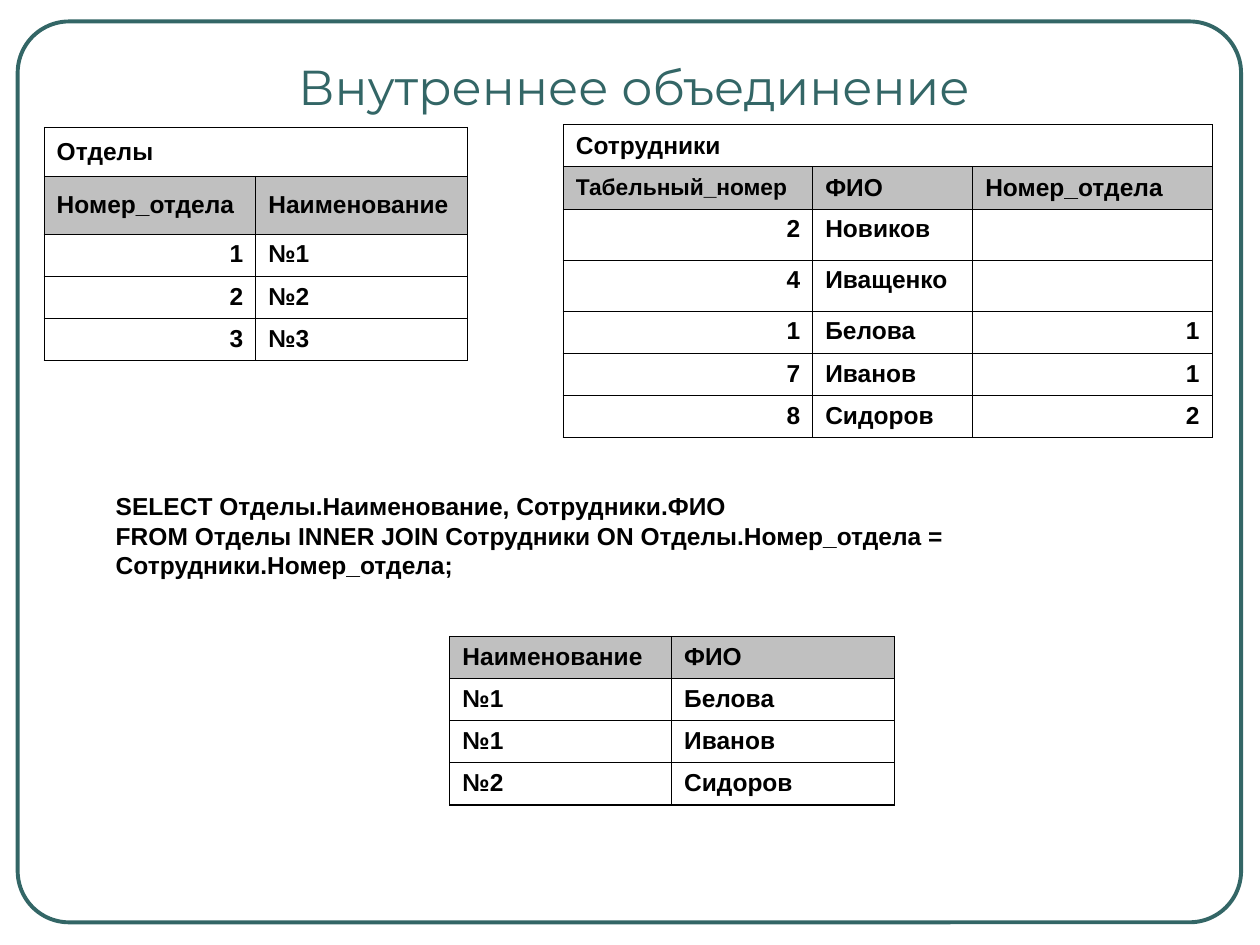
from dataclasses import dataclass

from lxml import etree
from pptx import Presentation
from pptx.dml.color import RGBColor
from pptx.enum.shapes import MSO_SHAPE
from pptx.enum.text import MSO_ANCHOR, MSO_AUTO_SIZE, PP_ALIGN
from pptx.oxml.ns import qn
from pptx.util import Inches, Pt

ROUNDED = MSO_SHAPE.ROUNDED_RECTANGLE
TOP, MIDDLE = MSO_ANCHOR.TOP, MSO_ANCHOR.MIDDLE
LEFT, CENTER, RIGHT = PP_ALIGN.LEFT, PP_ALIGN.CENTER, PP_ALIGN.RIGHT
NO_AUTOFIT = MSO_AUTO_SIZE.NONE

COLORS = {"teal": "336666", "black": "000000", "white": "FFFFFF", "header": "C0C0C0"}
ROW_HEIGHT = 1.34 / 4
THIN, NORMAL = 0.45, 0.75


@dataclass
class DataTable:
    left: float
    top: float
    widths: list[float]
    header: list[str]
    rows: list[list[str]]
    title: str = ""
    title_height: float = ROW_HEIGHT
    header_height: float = ROW_HEIGHT
    header_sizes: tuple[int, ...] = (14, 14, 14)


TABLES = [
    DataTable(
        3.57, 5.05, [1.76, 1.77], ["Наименование", "ФИО"],
        [["№1", "Белова"], ["№1", "Иванов"], ["№2", "Сидоров"]],
    ),
    DataTable(
        0.35, 1.01, [1.68, 1.68], ["Номер_отдела", "Наименование"],
        [["1", "№1"], ["2", "№2"], ["3", "№3"]],
        title="Отделы", title_height=0.39, header_height=0.46,
    ),
    DataTable(
        4.47, 0.99, [1.98, 1.27, 1.9], ["Табельный_номер", "ФИО", "Номер_отдела"],
        [
            ["2", "Новиков", ""],
            ["4", "Иващенко", ""],
            ["1", "Белова", "1"],
            ["7", "Иванов", "1"],
            ["8", "Сидоров", "2"],
        ],
        title="Сотрудники", header_sizes=(13, 14, 14),
    ),
]

QUERY = [
    "SELECT Отделы.Наименование, Сотрудники.ФИО",
    "FROM Отделы INNER JOIN Сотрудники ON Отделы.Номер_отдела = Сотрудники.Номер_отдела;",
]


def color(name: str) -> RGBColor:
    return RGBColor.from_string(COLORS[name])


def write(para, text: str, *, size: int = 14, font: str = "Arial",
          fill: str = "black", bold: bool = True, align=LEFT) -> None:
    para.alignment = align
    span = para.add_run()
    span.text = text
    span.font.size = Pt(size)
    span.font.name = font
    span.font.bold = bold
    span.font.color.rgb = color(fill)


def set_borders(cell, outer: float, bottom: float) -> None:
    properties = cell._tc.get_or_add_tcPr()
    for side, width in zip("LRTB", (outer, outer, outer, bottom)):
        line = etree.SubElement(properties, qn(f"a:ln{side}"), w=str(Pt(width)))
        fill = etree.SubElement(line, qn("a:solidFill"))
        etree.SubElement(fill, qn("a:srgbClr"), val=COLORS["black"])


def format_cell(cell, text: str, *, size: int = 14, fill: str = "white",
                anchor=TOP, outer: float = NORMAL) -> None:
    set_borders(cell, outer, NORMAL)
    cell.fill.solid()
    cell.fill.fore_color.rgb = color(fill)
    cell.vertical_anchor = anchor
    if text:
        align = RIGHT if text.isdigit() else LEFT
        write(cell.text_frame.paragraphs[0], text, size=size, align=align)


def draw_table(page, data: DataTable) -> None:
    heights = [data.header_height] + [ROW_HEIGHT] * len(data.rows)
    if data.title:
        heights.insert(0, data.title_height)
    table = page.shapes.add_table(
        len(heights), len(data.widths), Inches(data.left), Inches(data.top),
        Inches(sum(data.widths)), Inches(sum(heights)),
    ).table
    table.first_row = table.horz_banding = False
    for column, width in zip(table.columns, data.widths):
        column.width = Inches(width)
    for row, height in zip(table.rows, heights):
        row.height = Inches(height)

    # Optional title row across all columns
    header_row = 0
    if data.title:
        header_row = 1
        last = len(data.widths) - 1
        table.cell(0, 0).merge(table.cell(0, last))
        for index in range(last + 1):
            text = "" if index else data.title
            format_cell(table.cell(0, index), text, anchor=MIDDLE, outer=THIN)

    # Column names, then values
    for index, (text, size) in enumerate(zip(data.header, data.header_sizes)):
        format_cell(table.cell(header_row, index), text, size=size,
                    fill="header", anchor=MIDDLE)
    for row_index, values in enumerate(data.rows, header_row + 1):
        for index, text in enumerate(values):
            format_cell(table.cell(row_index, index), text)


def draw_frame(page) -> None:
    frame = page.shapes.add_shape(
        ROUNDED, Inches(0.14), Inches(0.17), Inches(9.71), Inches(7.15))
    frame.adjustments[0] = 0.057
    frame.shadow.inherit = False
    frame.fill.background()
    frame.line.color.rgb = color("teal")
    frame.line.width = Pt(2.25)


def draw_title(page) -> None:
    title = page.shapes.title
    title.left, title.top = Inches(0.82), Inches(0.4)
    title.width, title.height = Inches(8.42), Inches(0.73)
    title.text_frame.vertical_anchor = TOP
    title.text_frame.auto_size = NO_AUTOFIT
    write(title.text_frame.paragraphs[0], "Внутреннее объединение", size=28,
          font="Montserrat", fill="teal", bold=False, align=CENTER)


def draw_query(page) -> None:
    box = page.shapes.add_textbox(Inches(0.82), Inches(3.85), Inches(8.68), Inches(0.8))
    frame = box.text_frame
    frame.word_wrap = True
    for index, text in enumerate(QUERY):
        para = frame.add_paragraph() if index else frame.paragraphs[0]
        write(para, text)


def main() -> None:
    deck = Presentation()
    deck.slide_width, deck.slide_height = Inches(10), Inches(7.5)
    page = deck.slides.add_slide(deck.slide_layouts[5])
    draw_frame(page)
    draw_title(page)
    for data in TABLES:
        draw_table(page, data)
    draw_query(page)
    deck.save("out.pptx")


if __name__ == "__main__":
    main()
